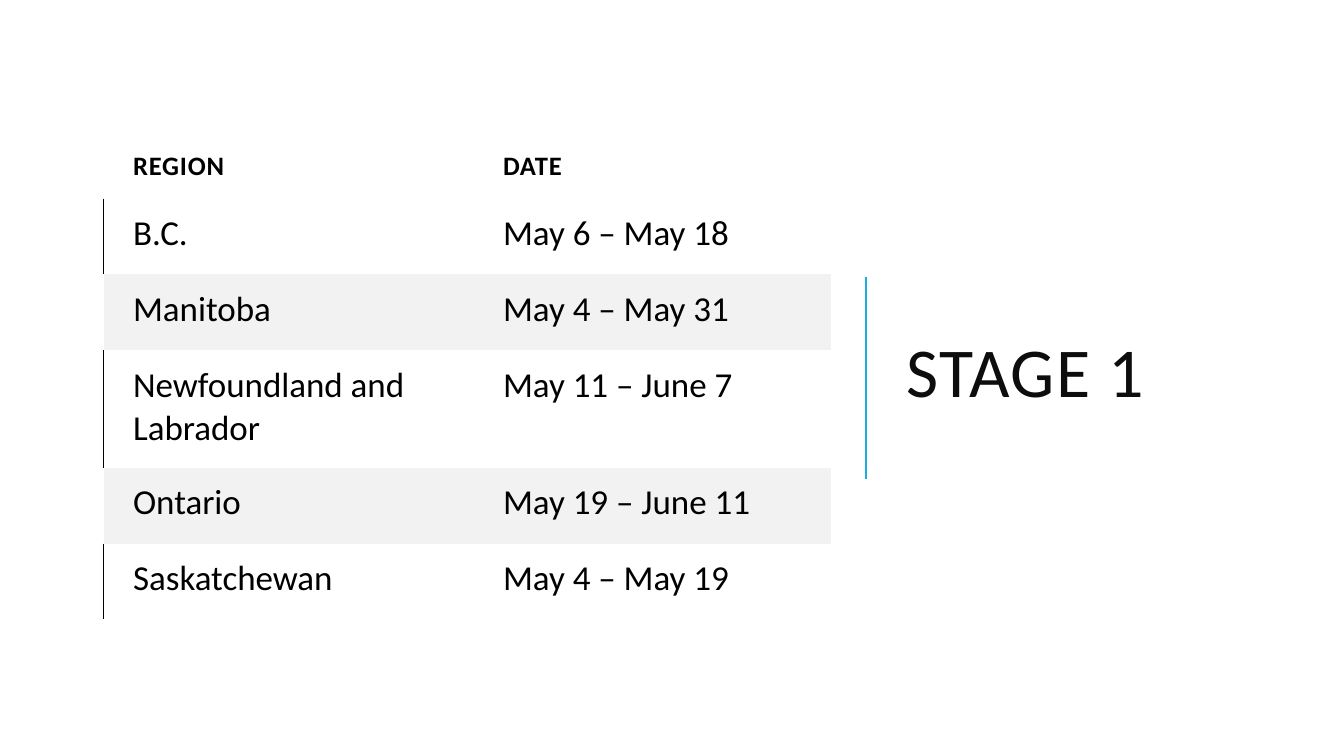
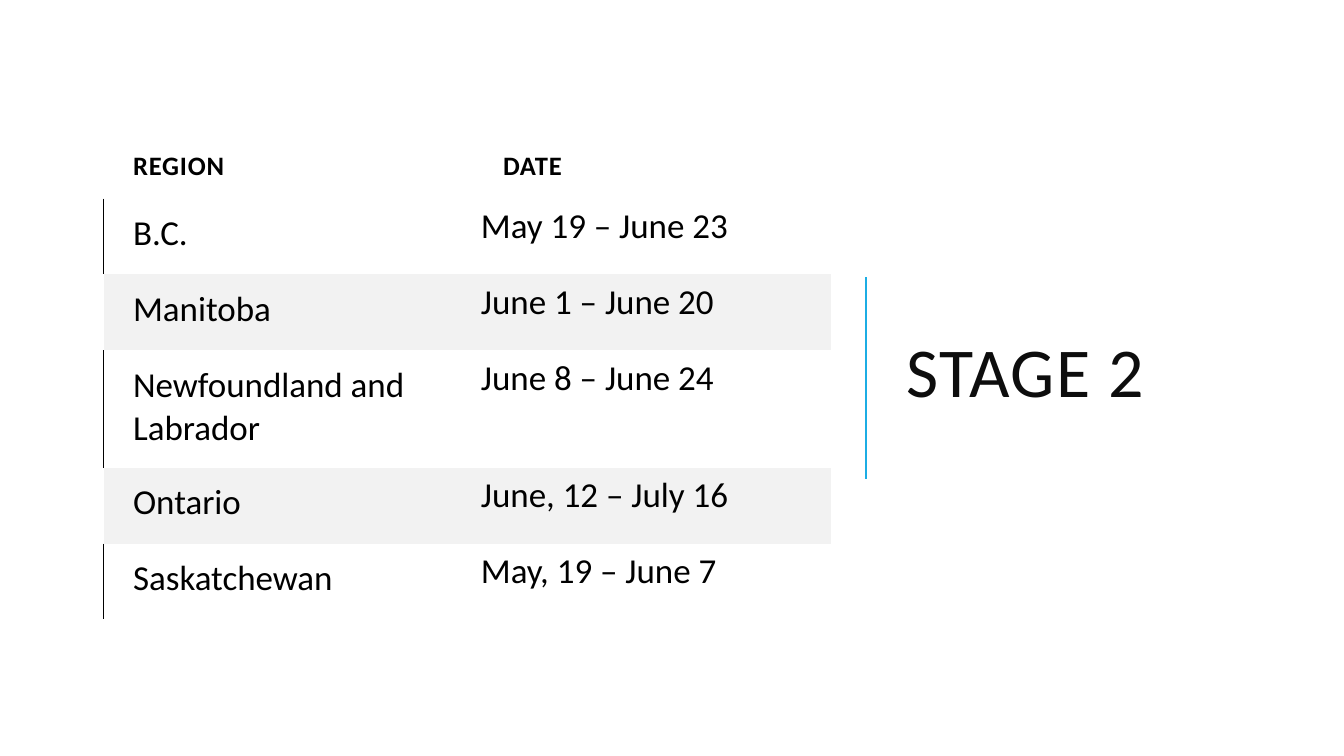
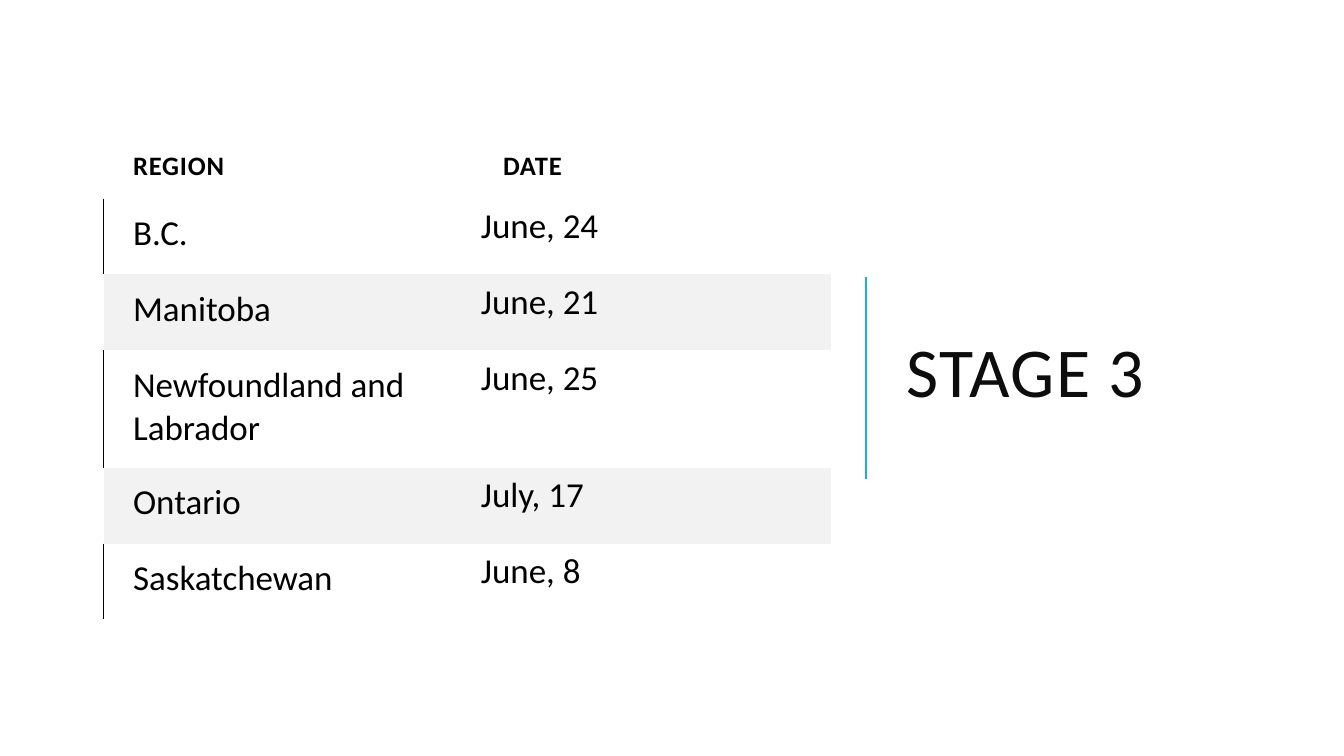
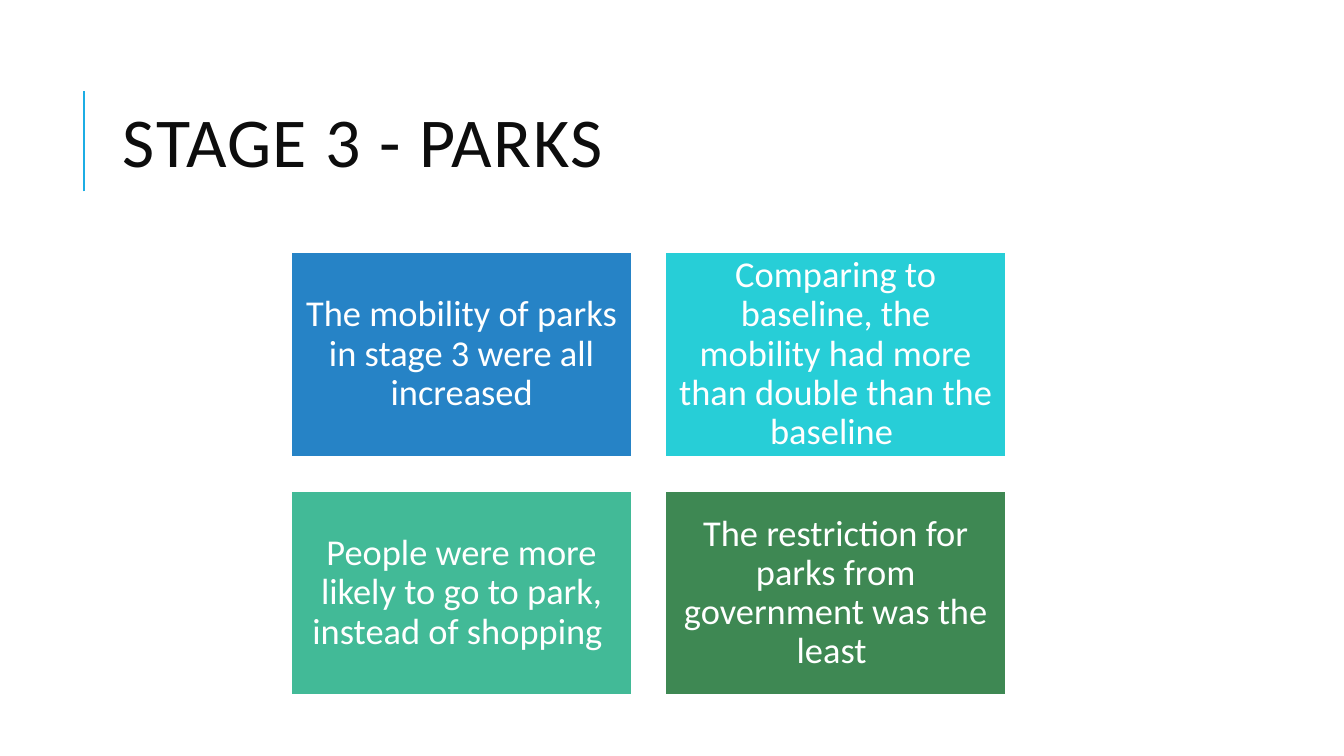
from typing import NamedTuple

from lxml import etree
from pptx import Presentation
from pptx.dml.color import RGBColor
from pptx.enum.shapes import MSO_CONNECTOR, MSO_SHAPE
from pptx.enum.text import MSO_ANCHOR, MSO_AUTO_SIZE, PP_ALIGN
from pptx.oxml.ns import qn
from pptx.util import Emu, Inches, Pt

SLIDE_WIDTH, SLIDE_HEIGHT = Inches(13.333), Inches(7.5)
FONT = "Calibri"
BLACK = RGBColor(0x00, 0x00, 0x00)
WHITE = RGBColor(0xFF, 0xFF, 0xFF)
TITLE_INK = RGBColor(0x0D, 0x0D, 0x0D)
ACCENT = RGBColor(0x1C, 0xAD, 0xE4)
BAND = RGBColor(0xF2, 0xF2, 0xF2)
BLUE = RGBColor(0x26, 0x83, 0xC6)
CYAN = RGBColor(0x27, 0xCE, 0xD7)
MINT = RGBColor(0x42, 0xBA, 0x97)
GREEN = RGBColor(0x3E, 0x88, 0x53)

TITLE_FONT = {"name": FONT, "size": Pt(50), "bold": False}
HEADER_FONT = {"name": FONT, "size": Pt(19), "bold": True}
BODY_FONT = {"name": FONT, "size": Pt(25), "bold": False}
TILE_FONT = {"name": FONT, "size": Pt(26), "bold": False}
PLAIN_TABLE_STYLE = "{2D5ABB26-0587-4C30-8999-92F81FD0307C}"


class Box(NamedTuple):
    """A rectangle in percent of the slide's width and height."""
    left: float
    top: float
    width: float
    height: float


class Rule(NamedTuple):
    """A vertical line in percent of the slide's width and height."""
    x: float
    top: float
    bottom: float


class Insets(NamedTuple):
    left: float
    top: float
    right: float
    bottom: float


class Stage(NamedTuple):
    title: str
    dates: list[str]
    date_insets: Insets


class Tile(NamedTuple):
    text: str
    color: RGBColor


HEADER_INSETS = Insets(0.29, 0.16, 0.29, 0.16)
WIDE_INSETS = Insets(0.29, 0.14, 0.29, 0.16)
NARROW_INSETS = Insets(0.07, 0.07, 0.07, 0.07)
TILE_INSETS = Insets(0.11, 0.11, 0.11, 0.11)

SIDE_TITLE = Box(66.68, 9.33, 28.5, 81.2)
SIDE_RULE = Rule(64.43, 36.67, 63.33)
TOP_TITLE = Box(8.4, 8.53, 79.73, 21.87)
TOP_RULE = Rule(6.25, 12, 25.33)

TABLE_LEFT, TABLE_TOP = 7.73, 17.33
COLUMN_WIDTHS = [27.53, 26.55]
ROW_HEIGHTS = [8.93, 10.05, 10.05, 15.5, 10.05, 10.05]
HEADERS = ["REGION", "DATE"]
REGIONS = ["B.C.", "Manitoba", "Newfoundland and Labrador", "Ontario", "Saskatchewan"]

STAGES = [
    Stage("STAGE 1",
          ["May 6 – May 18", "May 4 – May 31", "May 11 – June 7",
           "May 19 – June 11", "May 4 – May 19"], WIDE_INSETS),
    Stage("STAGE 2",
          ["May 19 – June 23", "June 1 – June 20", "June 8 – June 24",
           "June, 12 – July 16", "May, 19 – June 7"], NARROW_INSETS),
    Stage("STAGE 3",
          ["June, 24", "June, 21", "June, 25", "July, 17", "June, 8"], NARROW_INSETS),
]

FIRST_TILE = Box(21.68, 33.33, 25.35, 27.07)
TILE_PITCH_X, TILE_PITCH_Y = 27.83, 31.6
TILES = [
    Tile("The mobility of parks in stage 3 were all increased", BLUE),
    Tile("Comparing to baseline, the mobility had more than double than the baseline ", CYAN),
    Tile("People were more likely to go to park, instead of shopping ", MINT),
    Tile("The restriction for parks from government was the least ", GREEN),
]


def across(percent: float) -> Emu:
    return Emu(round(SLIDE_WIDTH * percent / 100))


def down(percent: float) -> Emu:
    return Emu(round(SLIDE_HEIGHT * percent / 100))


def place(box: Box) -> tuple[Emu, Emu, Emu, Emu]:
    return across(box.left), down(box.top), across(box.width), down(box.height)


def set_insets(target, insets: Insets) -> None:
    for side, inches in insets._asdict().items():
        setattr(target, f"margin_{side}", Inches(inches))


def write(text_frame, text: str, font: dict, color: RGBColor, tracking: float = 0):
    """Put one formatted run in the frame; tracking is in points."""
    paragraph = text_frame.paragraphs[0]
    run = paragraph.add_run()
    run.text = text
    for name, value in font.items():
        setattr(run.font, name, value)
    run.font.color.rgb = color
    if tracking:
        run._r.get_or_add_rPr().set("spc", str(round(tracking * 100)))
    return paragraph


def add_titled_slide(presentation, title: str, box: Box, rule: Rule):
    slide = presentation.slides.add_slide(presentation.slide_layouts[5])
    shape = slide.shapes.title
    shape.left, shape.top, shape.width, shape.height = place(box)
    frame = shape.text_frame
    frame.auto_size = MSO_AUTO_SIZE.NONE
    frame.word_wrap = True
    frame.vertical_anchor = MSO_ANCHOR.MIDDLE
    paragraph = write(frame, title, TITLE_FONT, TITLE_INK, tracking=1)
    paragraph.alignment = PP_ALIGN.LEFT
    paragraph.line_spacing = 0.8

    line = slide.shapes.add_connector(
        MSO_CONNECTOR.STRAIGHT, across(rule.x), down(rule.bottom),
        across(rule.x), down(rule.top))
    line.line.color.rgb = ACCENT
    line.line.width = Pt(1.5)
    etree.SubElement(line._element.spPr, qn("a:effectLst"))
    return slide


def add_left_border(cell, color: RGBColor, width: Pt) -> None:
    border = etree.Element(qn("a:lnL"), w=str(int(width)))
    fill = etree.SubElement(border, qn("a:solidFill"))
    etree.SubElement(fill, qn("a:srgbClr"), val=str(color))
    cell._tc.get_or_add_tcPr().insert(0, border)


def add_date_table(slide, stage: Stage) -> None:
    box = Box(TABLE_LEFT, TABLE_TOP, sum(COLUMN_WIDTHS), sum(ROW_HEIGHTS))
    frame = slide.shapes.add_table(len(ROW_HEIGHTS), len(COLUMN_WIDTHS), *place(box))
    table = frame.table
    table.first_row = table.horz_banding = False
    table._tbl.tblPr.find(qn("a:tableStyleId")).text = PLAIN_TABLE_STYLE
    for column, width in zip(table.columns, COLUMN_WIDTHS):
        column.width = across(width)
    for row, height in zip(table.rows, ROW_HEIGHTS):
        row.height = down(height)

    for column, header in enumerate(HEADERS):
        cell = table.cell(0, column)
        cell.fill.background()
        cell.vertical_anchor = MSO_ANCHOR.BOTTOM
        set_insets(cell, HEADER_INSETS)
        write(cell.text_frame, header, HEADER_FONT, BLACK, tracking=0.6)

    for row, entries in enumerate(zip(REGIONS, stage.dates), start=1):
        banded = row % 2 == 0
        for column, entry in enumerate(entries):
            cell = table.cell(row, column)
            set_insets(cell, stage.date_insets if column else WIDE_INSETS)
            write(cell.text_frame, entry, BODY_FONT, BLACK)
            if banded:
                cell.fill.solid()
                cell.fill.fore_color.rgb = BAND
            else:
                cell.fill.background()
        if not banded:
            add_left_border(table.cell(row, 0), BLACK, Pt(1))


def add_tile(slide, tile: Tile, box: Box) -> None:
    shape = slide.shapes.add_shape(MSO_SHAPE.RECTANGLE, *place(box))
    shape.shadow.inherit = False
    shape.fill.solid()
    shape.fill.fore_color.rgb = tile.color
    shape.line.color.rgb = WHITE
    shape.line.width = Pt(1.5)
    frame = shape.text_frame
    frame.word_wrap = True
    frame.vertical_anchor = MSO_ANCHOR.MIDDLE
    set_insets(frame, TILE_INSETS)
    paragraph = write(frame, tile.text, TILE_FONT, WHITE)
    paragraph.alignment = PP_ALIGN.CENTER
    paragraph.line_spacing = 0.9


def main() -> None:
    presentation = Presentation()
    presentation.slide_width, presentation.slide_height = SLIDE_WIDTH, SLIDE_HEIGHT
    for stage in STAGES:
        slide = add_titled_slide(presentation, stage.title, SIDE_TITLE, SIDE_RULE)
        add_date_table(slide, stage)

    parks = add_titled_slide(presentation, "STAGE 3 - PARKS", TOP_TITLE, TOP_RULE)
    for index, tile in enumerate(TILES):
        row, column = divmod(index, 2)
        add_tile(parks, tile, FIRST_TILE._replace(
            left=FIRST_TILE.left + column * TILE_PITCH_X,
            top=FIRST_TILE.top + row * TILE_PITCH_Y))
    presentation.save("out.pptx")


if __name__ == "__main__":
    main()
